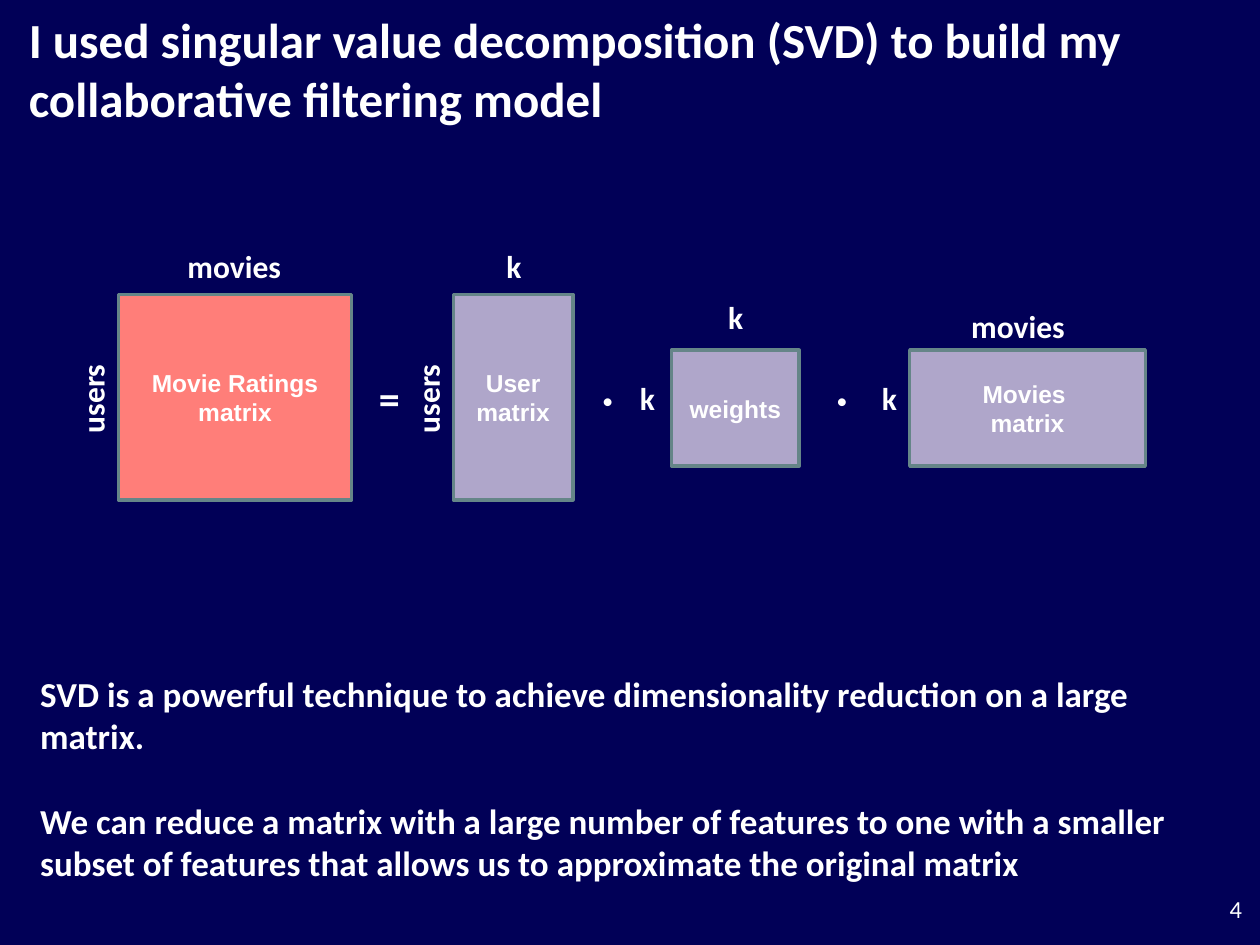
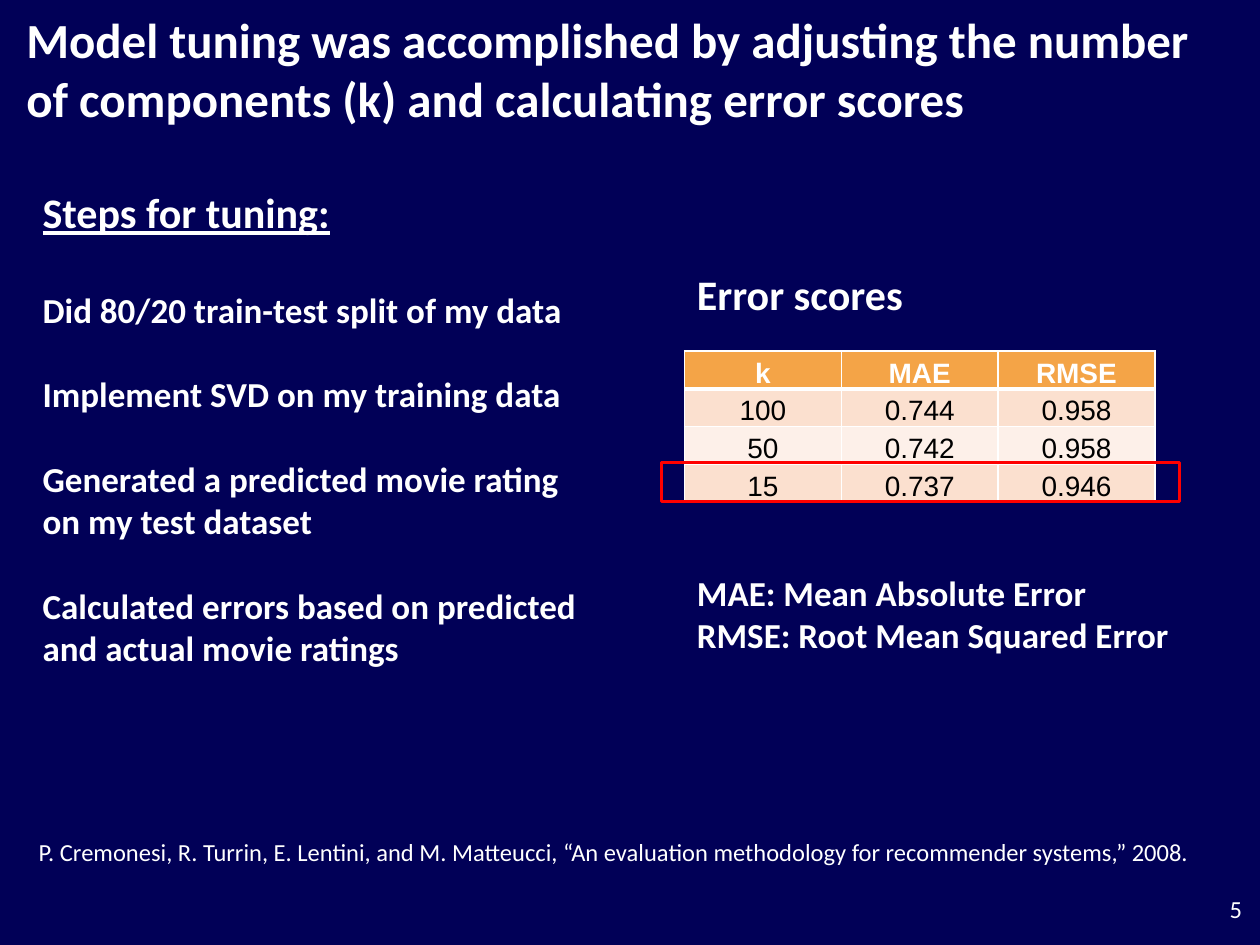
from lxml.etree import SubElement
from pptx import Presentation
from pptx.dml.color import RGBColor
from pptx.enum.shapes import MSO_SHAPE as Shape
from pptx.enum.text import MSO_ANCHOR as Anchor, PP_ALIGN as Align
from pptx.oxml.ns import qn
from pptx.util import Cm, Pt

NAVY, WHITE, BLACK, RED = "010057", "FFFFFF", "000000", "FF0000"
CORAL, LILAC, SLATE = "FF7E79", "AFA6CA", "658588"
ORANGE, PEACH, CREAM = "F4A447", "FBE0CF", "FDF0E9"
rgb = RGBColor.from_string


def write(frame, lines, size, bold=True, face="Calibri", ink=WHITE,
          align=Align.LEFT, gap=0):
    """Fill a text frame with one paragraph per line, gap points apart."""
    for i, line in enumerate(lines):
        para = frame.add_paragraph() if i else frame.paragraphs[0]
        para.alignment = align
        para.space_before = Pt(0)
        para.space_after = Pt(gap)
        run = para.add_run()
        run.text = line
        font = run.font
        font.name, font.size, font.bold = face, Pt(size), bold
        font.color.rgb = rgb(ink)


def add_text(slide, place, lines, size, inset=True, wrap=True, **style):
    """Add a text box at a place given in centimetres."""
    box = slide.shapes.add_textbox(*map(Cm, place))
    frame = box.text_frame
    frame.word_wrap = wrap
    if not inset:
        frame.margin_left = frame.margin_right = 0
        frame.margin_top = frame.margin_bottom = 0
    write(frame, lines, size, **style)
    return box


prs = Presentation()
prs.slide_width, prs.slide_height = Cm(25.4), Cm(19.05)
back = prs.slide_master.background.fill
back.solid()
back.fore_color.rgb = rgb(NAVY)

# Titles and page numbers
titles = [
    (0.58, "I used singular value decomposition (SVD) to build my "
           "collaborative filtering model"),
    (0.53, "Model tuning was accomplished by adjusting the number of "
           "components (k) and calculating error scores"),
]
slides = []
for page, (left, text) in enumerate(titles, 4):
    slide = prs.slides.add_slide(prs.slide_layouts[5])
    title = slide.shapes.title
    title.left, title.top = Cm(left), Cm(0.2)
    title.width, title.height = Cm(24.25), Cm(2.4)
    frame = title.text_frame
    frame.margin_left = frame.margin_right = 0
    frame.margin_top = frame.margin_bottom = 0
    frame.vertical_anchor = Anchor.TOP
    write(frame, [text], 28)
    number = add_text(slide, (23.77, 17.6, 1.52, 1.45), [str(page)], 14,
                      bold=False, align=Align.RIGHT)
    number.text_frame.vertical_anchor = Anchor.MIDDLE
    slides.append(slide)
svd, tuning = slides

# Matrix equation
add_text(svd, (0.81, 13.56, 23.16, 5.13), [
    "SVD is a powerful technique to achieve dimensionality reduction on a "
    "large matrix.",
    "We can reduce a matrix with a large number of features to one with a "
    "smaller subset of features that allows us to approximate the original "
    "matrix",
], 20, inset=False, gap=24.4)

tall, low = (5.94, 4.14), (7.06, 2.34)  # top and height
blocks = [
    (["Movie Ratings", "matrix"], 2.39, 4.7, tall, CORAL),
    (["User matrix"], 9.14, 2.41, tall, LILAC),
    (["weights"], 13.54, 2.57, low, LILAC),
    (["Movies ", "matrix"], 18.34, 4.75, low, LILAC),
]
for lines, left, width, (top, height), tint in blocks:
    block = svd.shapes.add_shape(Shape.RECTANGLE, Cm(left), Cm(top),
                                 Cm(width), Cm(height))
    block.shadow.inherit = False
    block.fill.solid()
    block.fill.fore_color.rgb = rgb(tint)
    block.line.color.rgb = rgb(SLATE)
    block.line.width = Pt(2)
    block.text_frame.vertical_anchor = Anchor.MIDDLE
    write(block.text_frame, lines, 14, face="Arial", align=Align.CENTER)

labels = [
    ("movies", 3.53, 4.85, 2.41),
    ("k", 9.96, 4.85, 0.81),
    ("k", 14.43, 5.89, 0.81),
    ("movies", 19.33, 6.07, 2.41),
    ("k", 12.65, 7.52, 0.81),
    ("k", 17.53, 7.52, 0.81),
]
for text, left, top, width in labels:
    add_text(svd, (left, top, width, 1.02), [text], 18, wrap=False)
for left in (0.91, 7.67):
    side = add_text(svd, (left, 7.52, 1.9, 1.02), ["users"], 18, wrap=False)
    side.rotation = 270
for sign, left, width in (("=", 7.39, 0.94), ("·", 11.89, 0.74),
                          ("·", 16.61, 0.74)):
    add_text(svd, (left, 7.39, width, 1.27), [sign], 24, wrap=False)

# Tuning steps
steps = add_text(tuning, (0.86, 3.76, 11.05, 11.79), [
    "Steps for tuning:",
    "Did 80/20 train-test split of my data",
    "Implement SVD on my training data",
    "Generated a predicted movie rating on my test dataset",
    "Calculated errors based on predicted and actual movie ratings",
], 20, inset=False, gap=24.4)
head = steps.text_frame.paragraphs[0]
head.space_after = Pt(29.3)
head.runs[0].font.size = Pt(24)
head.runs[0].font.underline = True

# Error scores
scores = [
    ("k", "MAE", "RMSE"),
    ("100", "0.744", "0.958"),
    ("50", "0.742", "0.958"),
    ("15", "0.737", "0.946"),
]
fills = [ORANGE, PEACH, CREAM, PEACH]
table = tuning.shapes.add_table(4, 3, Cm(13.8), Cm(7.08),
                                Cm(9.48), Cm(3.04)).table
for col in table.columns:
    col.width = Cm(3.16)
for r, (row, tint) in enumerate(zip(scores, fills)):
    table.rows[r].height = Cm(0.76)
    for c, text in enumerate(row):
        cell = table.cell(r, c)
        cell.margin_left = cell.margin_right = cell.margin_top = Cm(0.03)
        cell.margin_bottom = 0
        cell.vertical_anchor = Anchor.BOTTOM
        props = cell._tc.get_or_add_tcPr()
        for edge in "LRTB":
            thick = (r, edge) in ((0, "B"), (1, "T"))
            line = SubElement(props, qn("a:ln" + edge),
                              w=str(Pt(3 if thick else 1)))
            fill = SubElement(line, qn("a:solidFill"))
            SubElement(fill, qn("a:srgbClr"), val=WHITE)
        cell.fill.solid()
        cell.fill.fore_color.rgb = rgb(tint)
        write(cell.text_frame, [text], 16, bold=r == 0, face="Arial",
              ink=BLACK if r else WHITE, align=Align.CENTER)

best = tuning.shapes.add_shape(Shape.RECTANGLE, Cm(13.34), Cm(9.32),
                               Cm(10.44), Cm(0.79))
best.shadow.inherit = False
best.fill.background()
best.line.color.rgb = rgb(RED)
best.line.width = Pt(2)

add_text(tuning, (13.8, 5.28, 4.85, 1.32), ["Error scores"], 24)
add_text(tuning, (13.8, 11.4, 10.39, 1.96),
         ["MAE: Mean Absolute Error", "RMSE: Root Mean Squared Error"], 20)
add_text(tuning, (0.53, 16.74, 24, 0.86), [
    "P. Cremonesi, R. Turrin, E. Lentini, and M. Matteucci, “An evaluation "
    "methodology for recommender systems,” 2008."], 14, bold=False)

prs.save("out.pptx")
